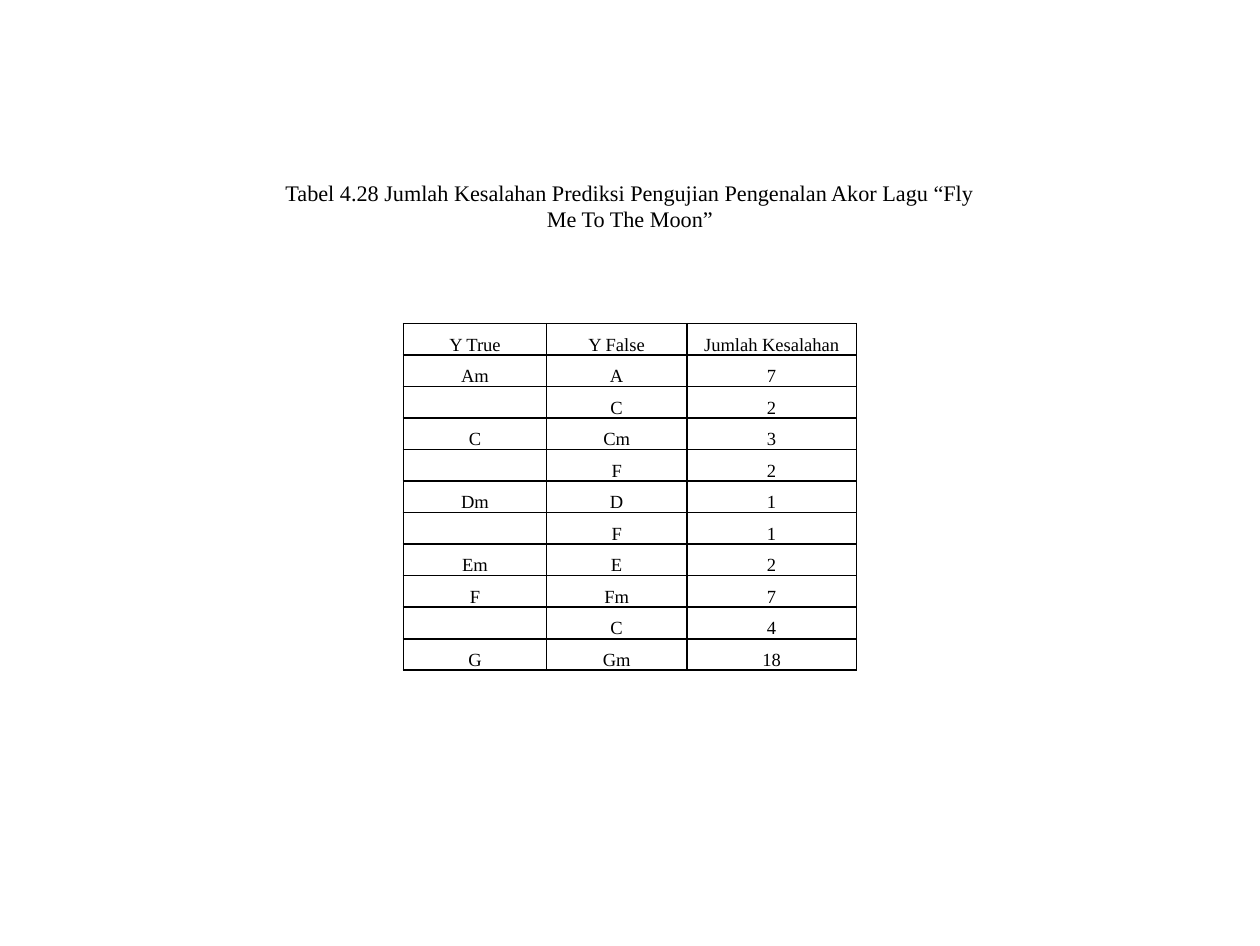
from pptx import Presentation
from pptx.dml.color import RGBColor
from pptx.enum.text import MSO_ANCHOR as ANCHOR, MSO_AUTO_SIZE as AUTO, PP_ALIGN as ALIGN
from pptx.oxml import parse_xml
from pptx.oxml.ns import nsdecls
from pptx.util import Cm, Pt

BLACK = RGBColor(0, 0, 0)
FONT = "Times New Roman"
TITLE = "Tabel 4.28 Jumlah Kesalahan Prediksi Pengujian Pengenalan Akor Lagu “Fly Me To The Moon”"
COL_WIDTHS = (2.72, 2.67, 3.23)
ROW_HEIGHT = 0.6
ROWS = (
    ("Y True", "Y False", "Jumlah Kesalahan"),
    ("Am", "A", "7"),
    ("", "C", "2"),
    ("C", "Cm", "3"),
    ("", "F", "2"),
    ("Dm", "D", "1"),
    ("", "F", "1"),
    ("Em", "E", "2"),
    ("F", "Fm", "7"),
    ("", "C", "4"),
    ("G", "Gm", "18"),
)
CELL_FORMAT = {
    "vertical_anchor": ANCHOR.BOTTOM,
    "margin_left": Cm(0.18),
    "margin_right": Cm(0.18),
    "margin_top": 0,
    "margin_bottom": 0,
}


def set_attrs(obj, values):
    """Set each named attribute of an object."""
    for name, value in values.items():
        setattr(obj, name, value)


def write(tf, text, size):
    """Write one centred paragraph, sizing it even when it is empty."""
    p = tf.paragraphs[0]
    p.alignment = ALIGN.CENTER
    if text:
        r = p.add_run()
        r.text = text
        set_attrs(r.font, {"name": FONT, "size": Pt(size)})
        r.font.color.rgb = BLACK
    else:
        p._p.append(parse_xml(f'<a:endParaRPr {nsdecls("a")} sz="{size * 100}"/>'))


def add_title(s):
    """Add the table caption."""
    tf = s.shapes.add_textbox(Cm(4.93), Cm(3.28), Cm(14.12), Cm(1.27)).text_frame
    set_attrs(tf, {"word_wrap": True, "auto_size": AUTO.SHAPE_TO_FIT_TEXT})
    write(tf, TITLE, 12)


def add_borders(cell):
    """Draw a thin line on every side of a cell."""
    tc_pr = cell._tc.get_or_add_tcPr()
    for i, side in enumerate(("lnL", "lnR", "lnT", "lnB")):
        tc_pr.insert(i, parse_xml(
            f'<a:{side} {nsdecls("a")} w="{Pt(1)}"><a:solidFill>'
            f'<a:srgbClr val="{BLACK}"/></a:solidFill></a:{side}>'))


def add_error_table(s):
    """Add the table of wrong predictions per chord."""
    table = s.shapes.add_table(
        len(ROWS), len(COL_WIDTHS), Cm(7.68), Cm(6.16),
        Cm(sum(COL_WIDTHS)), Cm(ROW_HEIGHT * len(ROWS))).table
    set_attrs(table, {"first_row": False, "horz_banding": False})
    for col, width in zip(table.columns, COL_WIDTHS):
        col.width = Cm(width)
    for row, texts in zip(table.rows, ROWS):
        row.height = Cm(ROW_HEIGHT)
        for cell, text in zip(row.cells, texts):
            set_attrs(cell, CELL_FORMAT)
            cell.fill.background()
            add_borders(cell)
            write(cell.text_frame, text, 10)


def main():
    """Build and save the slide."""
    prs = Presentation()
    set_attrs(prs, {"slide_width": Cm(23.98), "slide_height": Cm(18.01)})
    s = prs.slides.add_slide(prs.slide_layouts[6])
    add_title(s)
    add_error_table(s)
    prs.save("out.pptx")


if __name__ == "__main__":
    main()
